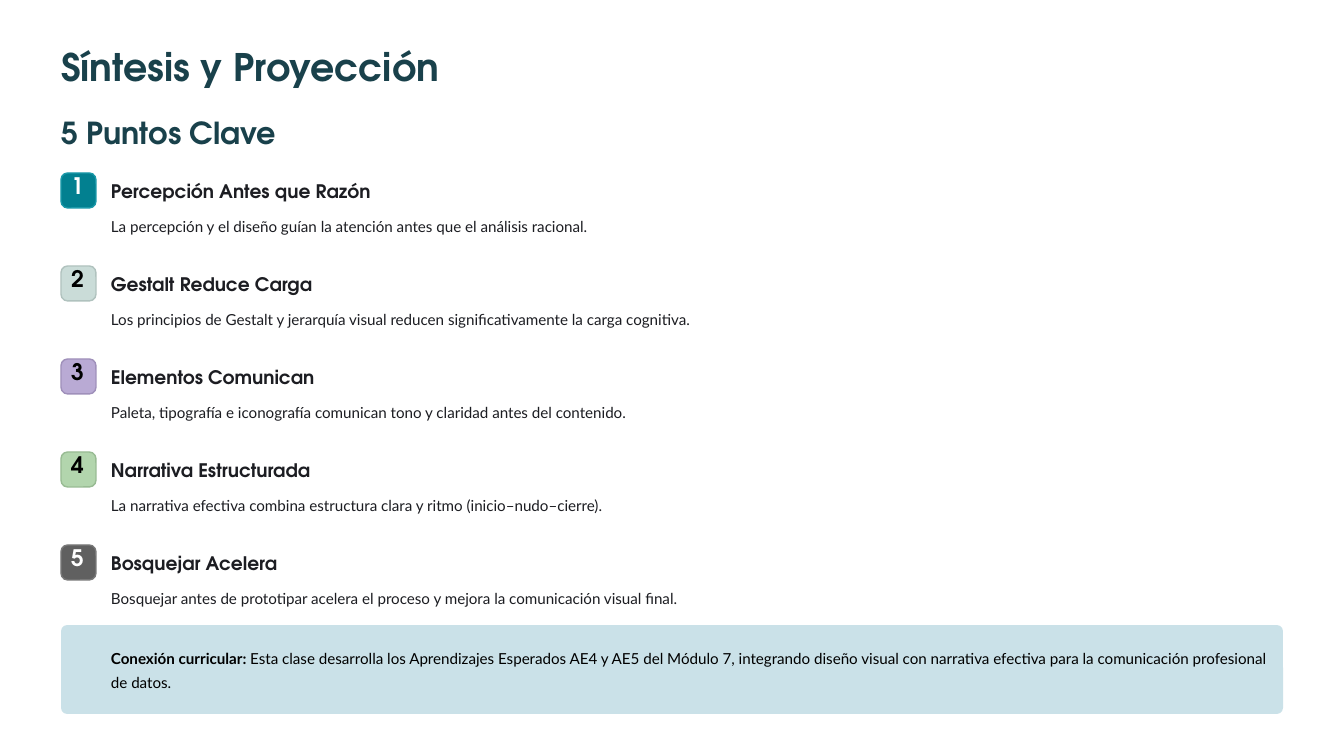
"""Build the closing slide with five key points and a curriculum note."""
from pptx import Presentation
from pptx.dml.color import RGBColor
from pptx.enum.shapes import MSO_SHAPE
from pptx.enum.text import MSO_ANCHOR, MSO_AUTO_SIZE, PP_ALIGN
from pptx.util import Emu, Pt

TEAL_DARK = RGBColor(0x19, 0x41, 0x4B)
INK = RGBColor(0x1C, 0x1D, 0x22)
BLACK = RGBColor(0x00, 0x00, 0x00)
WHITE = RGBColor(0xFF, 0xFF, 0xFF)
TEAL = RGBColor(0x02, 0x80, 0x90)
TEAL_EDGE = RGBColor(0x1B, 0x99, 0xA9)
MIST = RGBColor(0xCA, 0xDC, 0xD8)
MIST_EDGE = RGBColor(0xB0, 0xC2, 0xBE)
LILAC = RGBColor(0xB9, 0xAA, 0xD4)
LILAC_EDGE = RGBColor(0x9F, 0x90, 0xBA)
GREEN = RGBColor(0xB2, 0xD5, 0xAD)
GREEN_EDGE = RGBColor(0x98, 0xBB, 0x93)
GREY = RGBColor(0x60, 0x60, 0x60)
GREY_EDGE = RGBColor(0x79, 0x79, 0x79)
SKY = RGBColor(0xCA, 0xE1, 0xE8)

PX = 914400 / 84
LEFT, TEXT_LEFT = 61, 111
FIRST_TOP, PITCH = 173, 93

POINTS = [
    ("Percepción Antes que Razón", 255,
     "La percepción y el diseño guían la atención antes que el análisis racional.",
     TEAL, TEAL_EDGE, WHITE),
    ("Gestalt Reduce Carga", 196,
     "Los principios de Gestalt y jerarquía visual reducen significativamente la carga cognitiva.",
     MIST, MIST_EDGE, BLACK),
    ("Elementos Comunican", 200,
     "Paleta, tipografía e iconografía comunican tono y claridad antes del contenido.",
     LILAC, LILAC_EDGE, BLACK),
    ("Narrativa Estructurada", 207,
     "La narrativa efectiva combina estructura clara y ritmo (inicio–nudo–cierre).",
     GREEN, GREEN_EDGE, BLACK),
    ("Bosquejar Acelera", 191,
     "Bosquejar antes de prototipar acelera el proceso y mejora la comunicación visual final.",
     GREY, GREY_EDGE, WHITE),
]


class SlideBuilder:
    """Hold the text styles and the current slide."""

    heading_font = "TeX Gyre Adventor"
    styles = {
        "title": (heading_font, 32.5, True, 40.5),
        "section": (heading_font, 26, True, 32.5),
        "number": (heading_font, 19.5, True, 19.5),
        "point": (heading_font, 16, True, 20),
        "body": ("Lato", 13, False, 20.5),
    }

    def __init__(self, slide):
        self.slide = slide

    def box(self, *lengths):
        return [Emu(round(length * PX)) for length in lengths]

    def fill_text(self, holder, runs, style, color, align=PP_ALIGN.LEFT, wrap=False):
        name, size, bold, leading = self.styles[style]
        frame = holder.text_frame
        frame_format = {
            "margin_left": 0, "margin_top": 0, "margin_right": 0, "margin_bottom": 0,
            "word_wrap": wrap, "auto_size": MSO_AUTO_SIZE.NONE,
            "vertical_anchor": MSO_ANCHOR.TOP,
        }
        for key, value in frame_format.items():
            setattr(frame, key, value)
        paragraph = frame.paragraphs[0]
        paragraph.alignment = align
        paragraph.line_spacing = Pt(leading)
        for text, strong in runs:
            run = paragraph.add_run()
            run.text = text
            font_format = {"name": name, "size": Pt(size), "bold": bold or strong}
            for key, value in font_format.items():
                setattr(run.font, key, value)
            run.font.color.rgb = color

    def title(self, text, *lengths):
        heading = self.slide.shapes.title
        place = zip(("left", "top", "width", "height"), self.box(*lengths))
        for key, value in place:
            setattr(heading, key, value)
        self.fill_text(heading, [(text, True)], "title", TEAL_DARK)

    def text(self, runs, lengths, style, color, **options):
        holder = self.slide.shapes.add_textbox(*self.box(*lengths))
        self.fill_text(holder, runs, style, color, **options)

    def panel(self, lengths, rounding, fill, edge=None):
        panel = self.slide.shapes.add_shape(MSO_SHAPE.ROUNDED_RECTANGLE, *self.box(*lengths))
        panel.adjustments[0] = rounding
        panel.shadow.inherit = False
        panel.fill.solid()
        panel.fill.fore_color.rgb = fill
        if edge is None:
            panel.line.fill.background()
        else:
            panel.line.color.rgb = edge
            panel.line.width = Pt(1.2)

    def point(self, number, top, heading, width, detail, fill, edge, digit_color):
        self.panel((LEFT, top, 35, 35), 0.19, fill, edge)
        self.text([(str(number), True)], (66, top + 3, 23, 28), "number",
                  digit_color, align=PP_ALIGN.CENTER)
        self.text([(heading, True)], (TEXT_LEFT, top + 6, width, 23), "point", INK)
        self.text([(detail, False)], (TEXT_LEFT, top + 39, 1173, 24), "body", INK)


def main():
    deck = Presentation()
    deck.slide_width, deck.slide_height = Emu(round(1344 * PX)), Emu(round(756 * PX))
    synthesis = SlideBuilder(deck.slides.add_slide(deck.slide_layouts[5]))
    synthesis.title("Síntesis y Proyección", LEFT, 42, 381, 48)
    synthesis.text([("5 Puntos Clave", True)], (LEFT, 113, 305, 38), "section", TEAL_DARK)
    for index, point in enumerate(POINTS):
        synthesis.point(index + 1, FIRST_TOP + index * PITCH, *point)
    synthesis.panel((LEFT, 625, 1222, 89), 0.07, SKY)
    connection = [
        ("Conexión curricular:", True),
        (" Esta clase desarrolla los Aprendizajes Esperados AE4 y AE5 del Módulo 7, "
         "integrando diseño visual con narrativa efectiva para la comunicación "
         "profesional de datos.", False),
    ]
    synthesis.text(connection, (TEXT_LEFT, 644, 1158, 49), "body", BLACK, wrap=True)
    deck.save("out.pptx")


if __name__ == "__main__":
    main()
